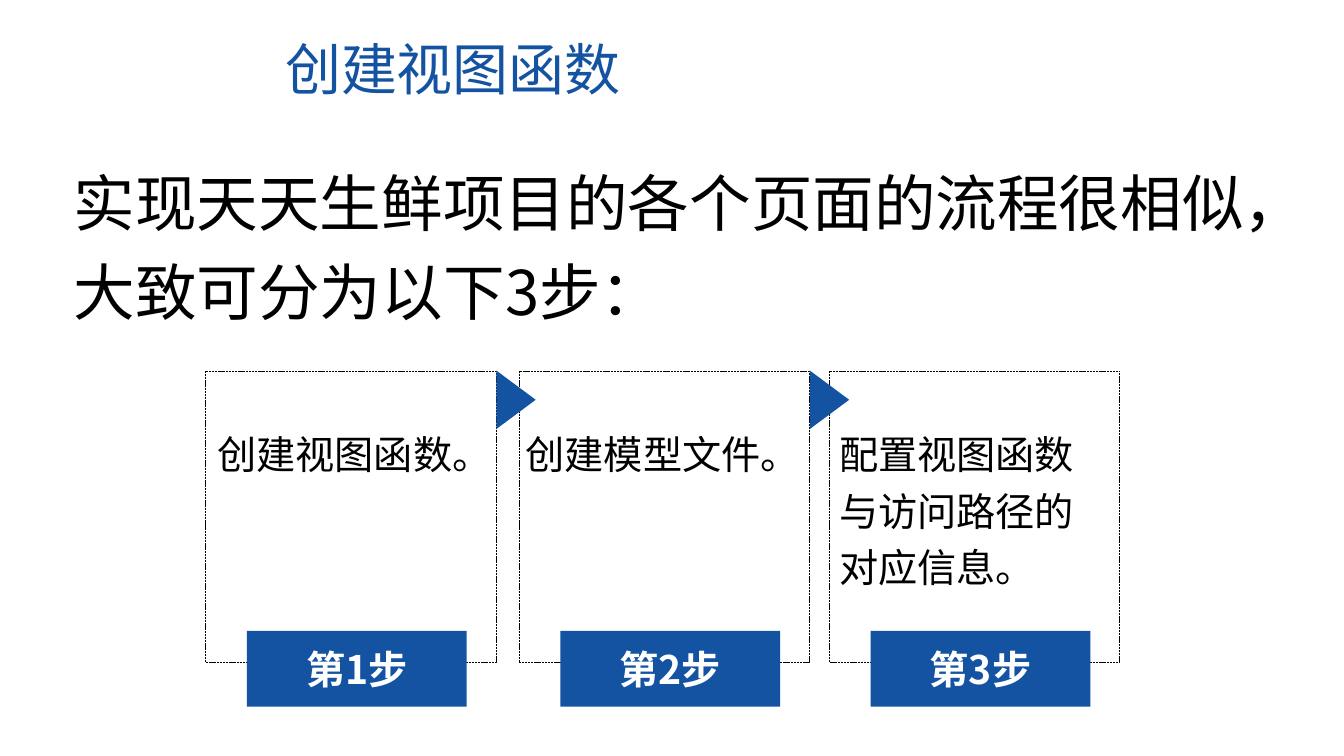
from dataclasses import dataclass

from lxml.etree import SubElement
from pptx import Presentation
from pptx.dml.color import RGBColor
from pptx.enum.dml import MSO_LINE
from pptx.enum.shapes import MSO_SHAPE
from pptx.enum.text import MSO_ANCHOR, MSO_AUTO_SIZE, PP_ALIGN
from pptx.oxml.ns import qn
from pptx.shapes.autoshape import Shape
from pptx.slide import Slide
from pptx.util import Cm, Pt

BLUE = RGBColor(0x13, 0x53, 0xA2)
BLACK = RGBColor(0, 0, 0)
WHITE = RGBColor(255, 255, 255)
FONT = "Noto Sans CJK SC"

# Step geometry in centimetres
FRAME_TOP, FRAME_WIDTH, FRAME_HEIGHT = 9.35, 7.32, 7.34
LABEL_OFFSET, LABEL_TOP, LABEL_WIDTH, LABEL_HEIGHT = 1.04, 15.9, 5.54, 1.91
ARROW_OFFSET, ARROW_TOP, ARROW_WIDTH, ARROW_HEIGHT = 7.09, 9.58, 1.47, 0.99


@dataclass(frozen=True)
class Step:
    label: str
    text: str
    left: float
    text_left: float
    text_width: float
    text_height: float


STEPS = [
    Step("第1步", "创建视图函数。", 5.18, 5.23, 7.26, 1.5),
    Step("第2步", "创建模型文件。", 13.08, 13.0, 7.39, 1.5),
    Step("第3步", "配置视图函数与访问路径的对应信息。", 20.9, 20.9, 7.32, 4.37),
]


def write_text(box: Shape, text: str, *, size: float, color: RGBColor = BLACK,
               bold: bool = False, align: PP_ALIGN = PP_ALIGN.LEFT,
               anchor: MSO_ANCHOR = MSO_ANCHOR.TOP, spacing: float = 1.0) -> None:
    frame = box.text_frame
    frame.word_wrap = True
    frame.auto_size = MSO_AUTO_SIZE.NONE
    frame.vertical_anchor = anchor
    para = frame.paragraphs[0]
    para.alignment = align
    para.line_spacing = spacing
    para.space_before = Pt(0)
    span = para.add_run()
    span.text = text
    span.font.size = Pt(size)
    span.font.bold = bold
    span.font.color.rgb = color
    span.font.name = FONT
    SubElement(span.font._element, qn("a:ea")).set("typeface", FONT)


def place(box: Shape, left: float, top: float, width: float, height: float) -> None:
    box.left, box.top, box.width, box.height = Cm(left), Cm(top), Cm(width), Cm(height)


def add_block(page: Slide, kind: MSO_SHAPE, left: float, top: float,
              width: float, height: float, *, filled: bool = True) -> Shape:
    block = page.shapes.add_shape(kind, Cm(left), Cm(top), Cm(width), Cm(height))
    block.shadow.inherit = False
    if filled:
        block.fill.solid()
        block.fill.fore_color.rgb = BLUE
        block.line.fill.background()
    else:
        block.fill.background()
        block.line.color.rgb = BLACK
        block.line.width = Pt(0.5)
        block.line.dash_style = MSO_LINE.SQUARE_DOT
    return block


def add_step(page: Slide, step: Step) -> None:
    add_block(page, MSO_SHAPE.RECTANGLE, step.left, FRAME_TOP,
              FRAME_WIDTH, FRAME_HEIGHT, filled=False)
    label = add_block(page, MSO_SHAPE.RECTANGLE, step.left + LABEL_OFFSET, LABEL_TOP,
                      LABEL_WIDTH, LABEL_HEIGHT)
    write_text(label, step.label, size=28, color=WHITE, bold=True,
               align=PP_ALIGN.CENTER, anchor=MSO_ANCHOR.MIDDLE)
    box = page.shapes.add_textbox(Cm(step.text_left), Cm(10.49),
                                  Cm(step.text_width), Cm(step.text_height))
    write_text(box, step.text, size=28, spacing=1.2)


def add_arrow(page: Slide, step: Step) -> None:
    arrow = add_block(page, MSO_SHAPE.FLOWCHART_EXTRACT, step.left + ARROW_OFFSET,
                      ARROW_TOP, ARROW_WIDTH, ARROW_HEIGHT)
    arrow.rotation = 90


def main() -> None:
    deck = Presentation()
    deck.slide_width, deck.slide_height = Cm(33.87), Cm(19.05)
    page = deck.slides.add_slide(deck.slide_layouts[1])

    # Title and introduction
    title, body = page.shapes.title, page.placeholders[1]
    place(title, 6.93, 0.74, 14.94, 1.96)
    write_text(title, "创建视图函数", size=40, color=BLUE)
    place(body, 1.6, 3.66, 31.22, 4.78)
    write_text(body, "实现天天生鲜项目的各个页面的流程很相似，大致可分为以下3步：",
               size=44, spacing=1.2)
    properties = body.text_frame.paragraphs[0]._p.get_or_add_pPr()
    properties.set("marL", "0")
    properties.set("indent", "0")
    SubElement(properties, qn("a:buNone"))

    # Steps, with an arrow between neighbours
    for step in STEPS:
        add_step(page, step)
    for step in STEPS[:-1]:
        add_arrow(page, step)

    deck.save("out.pptx")


if __name__ == "__main__":
    main()
